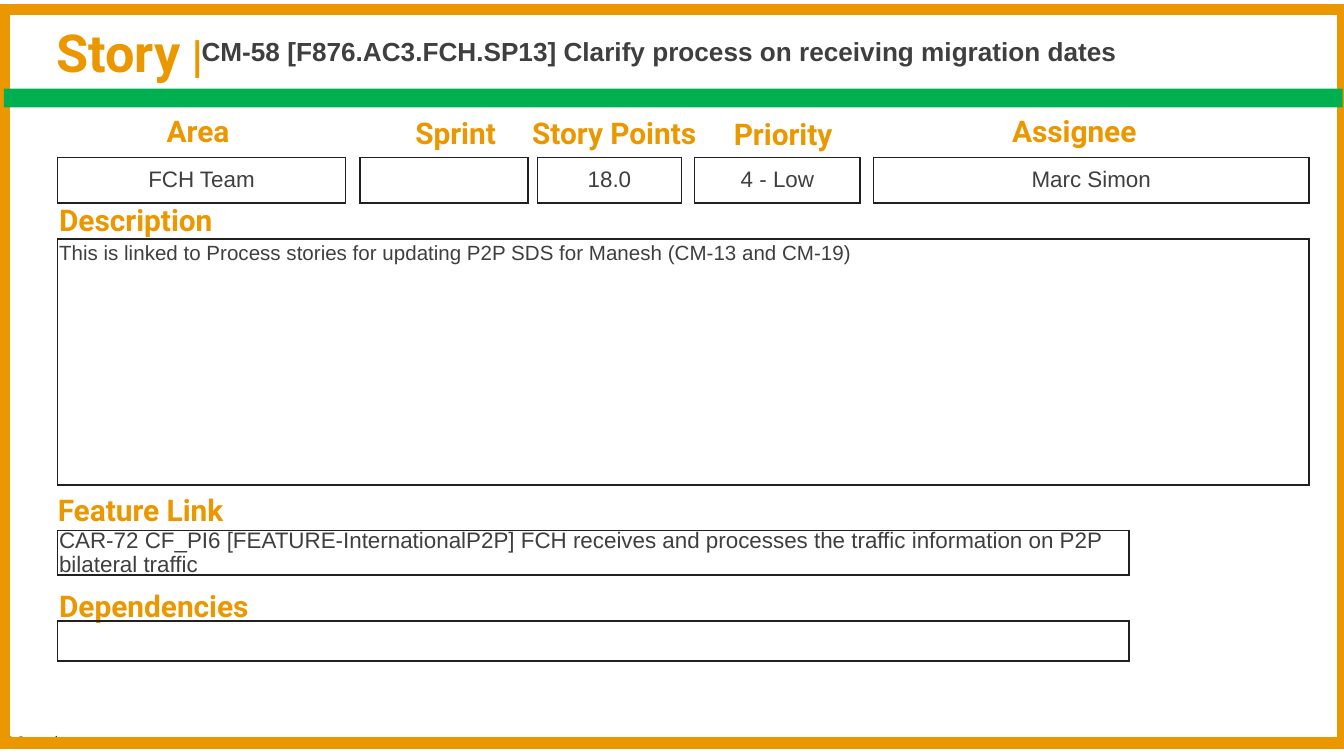
from dataclasses import dataclass

import lxml.etree
import pptx
import pptx.dml.color
import pptx.enum.shapes
import pptx.enum.text
import pptx.oxml.ns
import pptx.util

Inches = pptx.util.Inches
Align = pptx.enum.text.PP_ALIGN
Anchor = pptx.enum.text.MSO_ANCHOR


@dataclass(frozen=True)
class Theme:
    amber: str = "EB9700"
    green: str = "00B050"
    ink: str = "3F3F3F"
    outline: str = "202020"
    black: str = "000000"
    heading_font: str = "Roboto"
    body_font: str = "Arial"
    footer_font: str = "Calibri"
    story_size: float = 28
    bar_size: float = 24
    label_size: float = 16
    title_size: float = 14
    value_size: float = 12
    description_size: float = 11
    footer_size: float = 7
    field_line: float = 0.75
    frame_line: float = 6


THEME = Theme()


def color(code):
    return pptx.dml.color.RGBColor.from_string(code)


def set_font(font, name, size, code, bold=False):
    font.name = name
    font.size = pptx.util.Pt(size)
    font.color.rgb = color(code)
    font.bold = bold


def prepare_frame(shape, anchor, inset, top_inset, wrap=True):
    frame = shape.text_frame
    frame.word_wrap = wrap
    frame.vertical_anchor = anchor
    frame.margin_left = frame.margin_right = frame.margin_bottom = Inches(inset)
    frame.margin_top = Inches(top_inset)
    return frame.paragraphs[0]


def add_text(page, box, text, name, size, code, bold=False, anchor=Anchor.TOP, wrap=True):
    shape = page.shapes.add_textbox(*map(Inches, box))
    para = prepare_frame(shape, anchor, 0, 0, wrap)
    para.text = text
    set_font(para.font, name, size, code, bold)
    return para


def add_rectangle(page, box, fill=None, line=None, line_width=0):
    kind = pptx.enum.shapes.MSO_SHAPE.RECTANGLE
    shape = page.shapes.add_shape(kind, *map(Inches, box))
    shape.shadow.inherit = False
    if fill:
        shape.fill.solid()
        shape.fill.fore_color.rgb = color(fill)
    else:
        shape.fill.background()
    if line:
        shape.line.color.rgb = color(line)
        shape.line.width = pptx.util.Pt(line_width)
        outline = shape.line.fill._xPr
        lxml.etree.SubElement(outline, pptx.oxml.ns.qn("a:miter"), lim="800000")
    else:
        shape.line.fill.background()
    return shape


def add_label(page, left, top, text):
    add_text(page, (left, top, 1.58, 0.16), text, THEME.heading_font,
             THEME.label_size, THEME.amber, bold=True)


def add_field(page, box, text, align=Align.LEFT, anchor=Anchor.MIDDLE,
              size=THEME.value_size, top_inset=0.01):
    shape = add_rectangle(page, box, line=THEME.outline, line_width=THEME.field_line)
    if text:
        para = prepare_frame(shape, anchor, 0.01, top_inset)
        para.text = text
        para.alignment = align
        para.line_spacing = 0.9
        set_font(para.font, THEME.body_font, size, THEME.ink)


def add_header(page, box, title):
    left, top, width, height = box
    story = page.shapes.add_textbox(*map(Inches, (left, top + 0.05, 1.79, 0.29)))
    story.text_frame.word_wrap = True
    para = story.text_frame.paragraphs[0]
    para.line_spacing = 0.8
    for text, size in (("Story", THEME.story_size), (" |", THEME.bar_size)):
        span = para.add_run()
        span.text = text
        set_font(span.font, THEME.heading_font, size, THEME.amber, bold=True)
    heading = add_text(page, (left + 1.18, top, width - 1.18, height), title,
                       THEME.body_font, THEME.title_size, THEME.ink,
                       bold=True, anchor=Anchor.MIDDLE)
    heading.line_spacing = 0.8


def add_summary(page, box, columns):
    left, top, _, height = box
    for label, value, offset, width, label_offset, label_rise in columns:
        add_label(page, left + label_offset, top - label_rise, label)
        add_field(page, (left + offset, top, width, height), value, Align.CENTER)


def add_section(page, box, label, text, label_rise, indent=0, **style):
    left, top, _, _ = box
    add_label(page, left + indent, top - label_rise, label)
    add_field(page, box, text, **style)


def add_border(page, box):
    left, top, width, _ = box
    add_rectangle(page, box, line=THEME.amber, line_width=THEME.frame_line)
    add_rectangle(page, (left, top + 0.59, width, 0.14), fill=THEME.green)


def build_story_card(page):
    add_text(page, (0, 5.39, 0.68, 0.23), "C2 General", THEME.footer_font,
             THEME.footer_size, THEME.black, anchor=Anchor.MIDDLE, wrap=False)
    add_header(page, (0.32, 0.14, 9.58, 0.52),
               "CM-58 [F876.AC3.FCH.SP13] Clarify process on receiving migration dates")
    add_summary(page, (0.43, 1.17, 9.31, 0.34), (
        ("Area", "FCH Team", 0, 2.14, 0.81, 0.33),
        ("Sprint", "", 2.25, 1.25, 2.66, 0.32),
        ("Story Points", "18.0", 3.57, 1.07, 3.53, 0.32),
        ("Priority", "4 - Low", 4.74, 1.23, 5.03, 0.31),
        ("Assignee", "Marc Simon", 6.07, 3.24, 7.1, 0.33),
    ))
    add_section(page, (0.43, 1.78, 9.31, 1.83), "Description",
                "This is linked to Process stories for updating P2P SDS for Manesh (CM-13 and CM-19)",
                0.28, 0.01, anchor=Anchor.TOP, size=THEME.description_size, top_inset=0.03)
    add_section(page, (0.43, 3.95, 7.97, 0.33), "Feature Link",
                "CAR-72 CF_PI6 [FEATURE-InternationalP2P] FCH receives and processes "
                "the traffic information on P2P bilateral traffic", 0.29)
    add_section(page, (0.43, 4.62, 7.97, 0.3), "Dependencies", "", 0.25, 0.01)
    add_border(page, (0.03, 0.07, 9.96, 5.46))


def main():
    deck = pptx.Presentation()
    deck.slide_width = Inches(10)
    deck.slide_height = deck.slide_width * 9 // 16
    build_story_card(deck.slides.add_slide(deck.slide_layouts[6]))
    deck.save("out.pptx")


if __name__ == "__main__":
    main()
